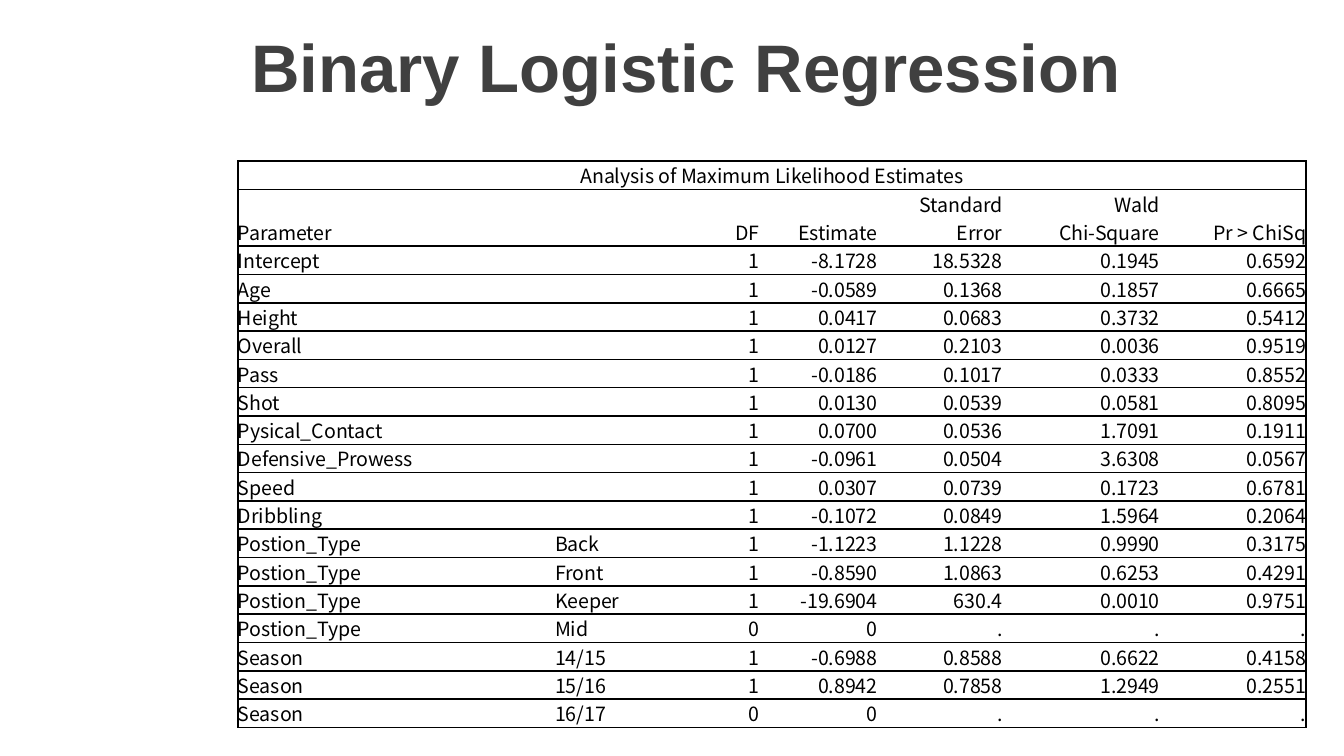
import copy

import pptx
import pptx.util
import pptx.dml.color
import pptx.enum.text
import pptx.oxml
import pptx.oxml.ns
from pptx.util import Inches

COLORS = {"title": "404040", "text": "000000", "line": "000000", "fill": "FFFFFF"}
FONT = "Noto Sans CJK KR"
SIZE = 10.5
ALIGN = pptx.enum.text.PP_ALIGN
ANCHOR = pptx.enum.text.MSO_ANCHOR
WIDTHS = [2.36, 0.86, 0.66, 0.88, 0.93, 1.17, 1.09]
CAPTION = "Analysis of Maximum Likelihood Estimates"
HEAD = ["Parameter", "", "DF", "Estimate", "Standard\vError", "Wald\vChi-Square",
        "Pr > ChiSq"]
ROWS = [
    ["Intercept", "", "1", "-8.1728", "18.5328", "0.1945", "0.6592"],
    ["Age", "", "1", "-0.0589", "0.1368", "0.1857", "0.6665"],
    ["Height", "", "1", "0.0417", "0.0683", "0.3732", "0.5412"],
    ["Overall", "", "1", "0.0127", "0.2103", "0.0036", "0.9519"],
    ["Pass", "", "1", "-0.0186", "0.1017", "0.0333", "0.8552"],
    ["Shot", "", "1", "0.0130", "0.0539", "0.0581", "0.8095"],
    ["Pysical_Contact", "", "1", "0.0700", "0.0536", "1.7091", "0.1911"],
    ["Defensive_Prowess", "", "1", "-0.0961", "0.0504", "3.6308", "0.0567"],
    ["Speed", "", "1", "0.0307", "0.0739", "0.1723", "0.6781"],
    ["Dribbling", "", "1", "-0.1072", "0.0849", "1.5964", "0.2064"],
    ["Postion_Type", "Back", "1", "-1.1223", "1.1228", "0.9990", "0.3175"],
    ["Postion_Type", "Front", "1", "-0.8590", "1.0863", "0.6253", "0.4291"],
    ["Postion_Type", "Keeper", "1", "-19.6904", "630.4", "0.0010", "0.9751"],
    ["Postion_Type", "Mid", "0", "0", ".", ".", "."],
    ["Season", "14/15", "1", "-0.6988", "0.8588", "0.6622", "0.4158"],
    ["Season", "15/16", "1", "0.8942", "0.7858", "1.2949", "0.2551"],
    ["Season", "16/17", "0", "0", ".", ".", "."],
]


def style(run, name, size, color, bold=False):
    font = run.font
    font.name, font.size, font.bold = name, pptx.util.Pt(size), bold
    font.color.rgb = pptx.dml.color.RGBColor.from_string(COLORS[color])


def add_title(slide, left, top, width, height):
    frame = slide.shapes.add_textbox(
        Inches(left), Inches(top), Inches(width), Inches(height)).text_frame
    frame.word_wrap = True
    frame.vertical_anchor = ANCHOR.MIDDLE
    frame.text = "Binary Logistic Regression"
    style(frame.paragraphs[0].runs[0], "Arial", 36, "title", True)


def set_edges(cell, sides):
    """Rule the named sides (of L, R, T, B) and clear the others."""
    props = cell._tc.get_or_add_tcPr()
    for side in "LRTB":
        paint = "<a:noFill/>"
        if side in sides:
            paint = f'<a:solidFill><a:srgbClr val="{COLORS["line"]}"/></a:solidFill>'
        props.append(pptx.oxml.parse_xml(
            f'<a:ln{side} {pptx.oxml.ns.nsdecls("a")} w="12700">{paint}</a:ln{side}>'))


def fill_cell(cell, text, align, anchor, sides):
    cell.margin_left = cell.margin_right = cell.margin_top = cell.margin_bottom = 0
    cell.vertical_anchor = anchor
    set_edges(cell, sides)
    cell.fill.solid()
    cell.fill.fore_color.rgb = pptx.dml.color.RGBColor.from_string(COLORS["fill"])
    cell.text_frame.text = text
    para = cell.text_frame.paragraphs[0]
    para.alignment = align
    para.space_after = pptx.util.Pt(3)
    for run in para.runs:
        style(run, FONT, SIZE, "text")
    # Breaks and empty cells need the small size too, or they stretch the row.
    for gap in para._p.findall(pptx.oxml.ns.qn("a:br")):
        gap.append(copy.deepcopy(para.runs[0]._r.rPr))
    if not text:
        para._p.get_or_add_endParaRPr().set("sz", str(int(SIZE * 100)))


def add_grid(slide, left, top, width, height):
    data = [[CAPTION] + [""] * (len(WIDTHS) - 1), HEAD] + ROWS
    table = slide.shapes.add_table(
        len(data), len(WIDTHS), Inches(left), Inches(top),
        Inches(width), Inches(height)).table
    table.first_row = table.horz_banding = False
    for col, size in zip(table.columns, WIDTHS):
        col.width = Inches(width * size / sum(WIDTHS))
    unit = height / (len(data) + 1)  # the head row takes two units
    last = len(WIDTHS) - 1
    for r, row in enumerate(data):
        table.rows[r].height = Inches(unit * (2 if r == 1 else 1))
        anchor = ANCHOR.BOTTOM if r < 2 else ANCHOR.TOP
        for c, text in enumerate(row):
            align = ALIGN.LEFT if c < 2 else ALIGN.RIGHT
            sides = "TB" + ("L" if c == 0 else "") + ("R" if c == last else "")
            if r == 0:
                align, sides = ALIGN.CENTER, "LRTB"
            fill_cell(table.cell(r, c), text, align, anchor, sides)
    table.cell(0, 0).merge(table.cell(0, last))


def main():
    deck = pptx.Presentation()
    deck.slide_width = Inches(10)
    deck.slide_height = deck.slide_width * 9 // 16
    slide = deck.slides.add_slide(deck.slide_layouts[6])
    add_grid(slide, 1.77, 1.2, 7.95, 3.5)
    add_title(slide, 1.77, 0, 8.23, 0.97)
    deck.save("out.pptx")


if __name__ == "__main__":
    main()
